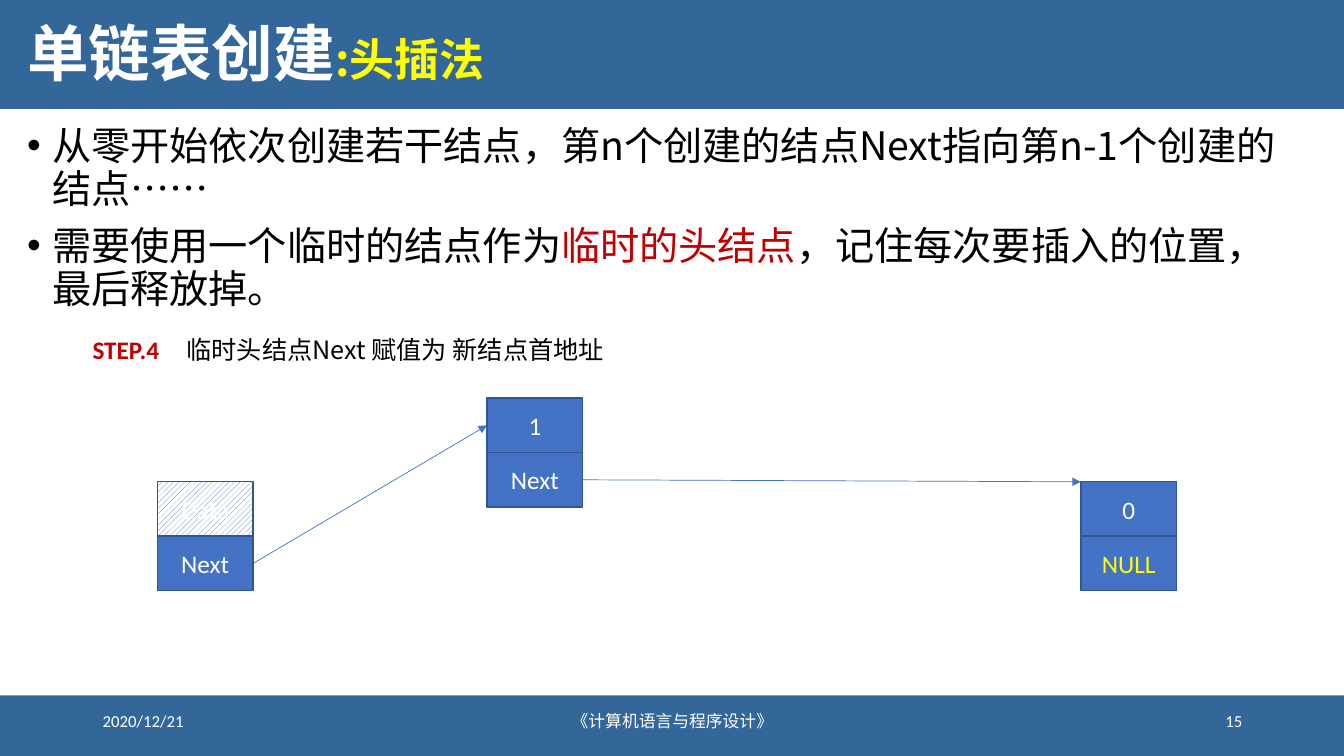
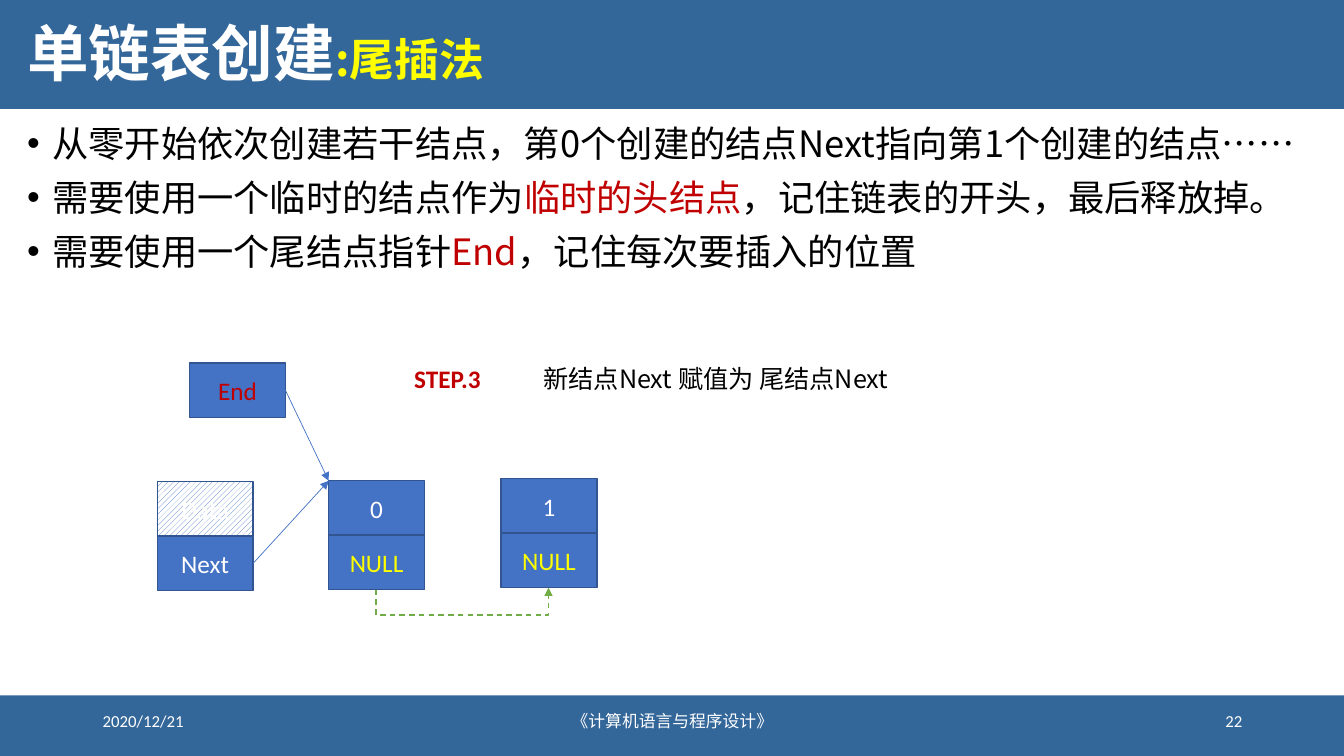
from dataclasses import dataclass
from typing import NamedTuple

from lxml.etree import SubElement
from pptx import Presentation
from pptx.dml.color import RGBColor
from pptx.enum.dml import MSO_LINE, MSO_PATTERN
from pptx.enum.shapes import MSO_CONNECTOR, MSO_SHAPE
from pptx.enum.text import MSO_ANCHOR, PP_ALIGN
from pptx.oxml.ns import qn
from pptx.util import Emu, Pt

EMU_PER_PX = 9144
SLIDE_WIDTH, SLIDE_HEIGHT = 1333, 750
CELL_WIDTH, CELL_HEIGHT = 95, 54


@dataclass(frozen=True)
class Theme:
    band: str = "336699"
    cell: str = "4472C4"
    cell_line: str = "325491"
    pending: str = "70AD47"
    white: str = "FFFFFF"
    black: str = "000000"
    accent: str = "FFFF00"
    red: str = "C00000"
    latin: str = "Calibri"
    chinese: str = "Noto Sans CJK SC"
    title_size: float = 44
    subtitle_size: float = 32
    body_size: float = 28
    label_size: float = 18
    footer_size: float = 12


class Node(NamedTuple):
    left: int
    top: int

    @property
    def corner(self):
        return self.left, self.top

    @property
    def data_side(self):
        return self.left, self.top + CELL_HEIGHT // 2

    @property
    def next_side(self):
        return self.left + CELL_WIDTH, self.top + CELL_HEIGHT * 3 // 2

    @property
    def bottom(self):
        return self.left + CELL_WIDTH // 2, self.top + CELL_HEIGHT * 2


THEME = Theme()


def px(value):
    return Emu(round(value * EMU_PER_PX))


def rgb(value):
    return RGBColor.from_string(value)


def write(frame, paragraphs, size, color, font=THEME.chinese, bold=False,
          align=PP_ALIGN.LEFT, anchor=MSO_ANCHOR.TOP, wrap=True,
          leading=None, gap=0, bullet=False):
    """Fill a frame; a run is a string or a (string, overrides) pair."""
    frame.word_wrap = wrap
    frame.vertical_anchor = anchor
    for index, runs in enumerate(paragraphs):
        paragraph = frame.add_paragraph() if index else frame.paragraphs[0]
        paragraph.alignment = align
        if bullet:
            properties = paragraph._p.get_or_add_pPr()
            properties.set("marL", str(px(25)))
            properties.set("indent", str(px(-25)))
            SubElement(properties, qn("a:buFont")).set("typeface", "Arial")
            SubElement(properties, qn("a:buChar")).set("char", "•")
        if leading:
            paragraph.line_spacing = Pt(round(size * leading, 1))
        if index and gap:
            paragraph.space_before = Pt(gap)
        for item in runs:
            text, changes = (item, {}) if isinstance(item, str) else item
            run = paragraph.add_run()
            run.text = text
            run.font.size = Pt(changes.get("size", size))
            run.font.bold = bold
            run.font.color.rgb = rgb(changes.get("color", color))
            run.font.name = font
            east_asian = SubElement(run._r.get_or_add_rPr(), qn("a:ea"))
            east_asian.set("typeface", THEME.chinese)


class Deck:
    def __init__(self, theme):
        self.theme = theme
        self.presentation = Presentation()
        self.presentation.slide_width = px(SLIDE_WIDTH)
        self.presentation.slide_height = px(SLIDE_HEIGHT)
        self.slide = None

    def start(self, method, number):
        theme = self.theme
        layout = self.presentation.slide_layouts[6]
        self.slide = self.presentation.slides.add_slide(layout)
        for top, height in ((0, 108), (690, 60)):
            self.box(0, top, SLIDE_WIDTH, height, theme.band)
        subtitle = (f":{method}", {"size": theme.subtitle_size,
                                   "color": theme.accent})
        self.text(17, 3, 1287, 103, [["单链表创建", subtitle]],
                  size=theme.title_size, color=theme.white, bold=True,
                  anchor=MSO_ANCHOR.MIDDLE, leading=1.1)
        footers = (
            (92, 300, "2020/12/21", PP_ALIGN.LEFT),
            (442, 450, "《计算机语言与程序设计》", PP_ALIGN.CENTER),
            (942, 300, str(number), PP_ALIGN.RIGHT),
        )
        for left, width, text, align in footers:
            self.text(left, 695, width, 40, [[text]], size=theme.footer_size,
                      color=theme.white, font=theme.latin, align=align,
                      anchor=MSO_ANCHOR.MIDDLE)

    def text(self, left, top, width, height, paragraphs, **style):
        shape = self.slide.shapes.add_textbox(
            px(left), px(top), px(width), px(height))
        write(shape.text_frame, paragraphs, **style)

    def box(self, left, top, width, height, fill):
        shape = self.slide.shapes.add_shape(
            MSO_SHAPE.RECTANGLE, px(left), px(top), px(width), px(height))
        shape.shadow.inherit = False
        shape.fill.solid()
        shape.fill.fore_color.rgb = rgb(fill)
        shape.line.fill.background()
        return shape

    def bullets(self, height, paragraphs, size):
        self.text(17, 119, 1287, height, paragraphs, size=size,
                  color=self.theme.black, leading=1.1, gap=10, bullet=True)

    def step(self, left, top, number, text_left, text_width, text, wrap):
        theme = self.theme
        self.text(left, top, 87, 40, [[f"STEP.{number}"]], bold=True,
                  size=theme.label_size, color=theme.red, font=theme.latin,
                  wrap=False)
        self.text(text_left, top, text_width, 40, [[text]],
                  size=theme.label_size, color=theme.black,
                  align=PP_ALIGN.CENTER, wrap=wrap, leading=1.2)

    def cell(self, left, top, text, color=THEME.white, hatched=False):
        theme = self.theme
        shape = self.box(left, top, CELL_WIDTH, CELL_HEIGHT, theme.cell)
        if hatched:
            shape.fill.patterned()
            shape.fill.pattern = MSO_PATTERN.WIDE_UPWARD_DIAGONAL
            shape.fill.fore_color.rgb = rgb(theme.cell)
            shape.fill.back_color.rgb = rgb(theme.white)
        shape.line.color.rgb = rgb(theme.cell_line)
        shape.line.width = Pt(1)
        write(shape.text_frame, [[text]], size=theme.label_size, color=color,
              font=theme.latin, align=PP_ALIGN.CENTER,
              anchor=MSO_ANCHOR.MIDDLE)

    def node(self, left, top, data, link, hatched=False):
        link_color = self.theme.accent if link == "NULL" else self.theme.white
        self.cell(left, top, data, hatched=hatched)
        self.cell(left, top + CELL_HEIGHT, link, color=link_color)
        return Node(left, top)

    def head_node(self):
        return self.node(156, 478, "Data", "Next", hatched=True)

    def connector(self, kind, start, end, color, width, dash=None):
        connector = self.slide.shapes.add_connector(
            kind, *(px(value) for value in (*start, *end)))
        connector.line.color.rgb = rgb(color)
        connector.line.width = Pt(width)
        if dash:
            connector.line.dash_style = dash
        line = connector.line._get_or_add_ln()
        SubElement(line, qn("a:tailEnd")).set("type", "triangle")
        properties = connector._element.spPr
        SubElement(properties, qn("a:effectLst"))
        return properties

    def arrow(self, start, end):
        self.connector(MSO_CONNECTOR.STRAIGHT, start, end,
                       self.theme.cell, 0.5)

    def arrow_below(self, start, end, drop):
        """Join two bottom edges by a dashed U turn; start lies lower."""
        center_x = (start[0] + end[0]) / 2
        center_y = (start[1] + end[1]) / 2
        rise, span = start[1] - end[1], end[0] - start[0]
        properties = self.connector(
            MSO_CONNECTOR.ELBOW,
            (center_x + rise / 2, center_y + span / 2),
            (center_x - rise / 2, center_y - span / 2),
            self.theme.pending, 1, MSO_LINE.DASH)
        properties.find(qn("a:xfrm")).set("rot", "5400000")
        geometry = properties.find(qn("a:prstGeom"))
        adjustments = geometry.find(qn("a:avLst"))
        if adjustments is None:
            adjustments = SubElement(geometry, qn("a:avLst"))
        guide = SubElement(adjustments, qn("a:gd"))
        guide.set("name", "adj1")
        guide.set("fmla", f"val {round(-drop / rise * 100000)}")


def build_head_insertion(deck):
    red = {"color": deck.theme.red}
    deck.start("头插法", 15)
    deck.bullets(198, [
        ["从零开始依次创建若干结点，第n个创建的结点Next指向第n-1个创建的结点……"],
        ["需要使用一个临时的结点作为", ("临时的头结点", red),
         "，记住每次要插入的位置，最后释放掉。"],
    ], deck.theme.body_size)
    deck.step(82, 327, 4, 169, 446,
              "临时头结点Next 赋值为 新结点首地址", wrap=False)
    head = deck.head_node()
    first = deck.node(1072, 478, "0", "NULL")
    second = deck.node(483, 395, "1", "Next")
    deck.arrow(head.next_side, second.data_side)
    deck.arrow(second.next_side, first.corner)


def build_tail_insertion(deck):
    red = {"color": deck.theme.red}
    deck.start("尾插法", 22)
    deck.bullets(171, [
        ["从零开始依次创建若干结点，第0个创建的结点Next指向第1个创建的结点……"],
        ["需要使用一个临时的结点作为", ("临时的头结点", red),
         "，记住链表的开头，最后释放掉。"],
        ["需要使用一个尾结点指针", ("End", red), "，记住每次要插入的位置"],
    ], 25.9)
    deck.step(401, 356, 3, 525, 370,
              "新结点Next 赋值为 尾结点Next", wrap=True)
    head = deck.head_node()
    first = deck.node(326, 477, "0", "NULL")
    second = deck.node(497, 475, "1", "NULL")
    end_pointer = Node(188, 360)
    deck.cell(*end_pointer, "End", color=deck.theme.red)
    deck.arrow(head.next_side, first.corner)
    deck.arrow((end_pointer.left + CELL_WIDTH, end_pointer.data_side[1]),
               first.corner)
    deck.arrow_below(first.bottom, second.bottom, 25)


def main():
    deck = Deck(THEME)
    build_head_insertion(deck)
    build_tail_insertion(deck)
    deck.presentation.save("out.pptx")


if __name__ == "__main__":
    main()
